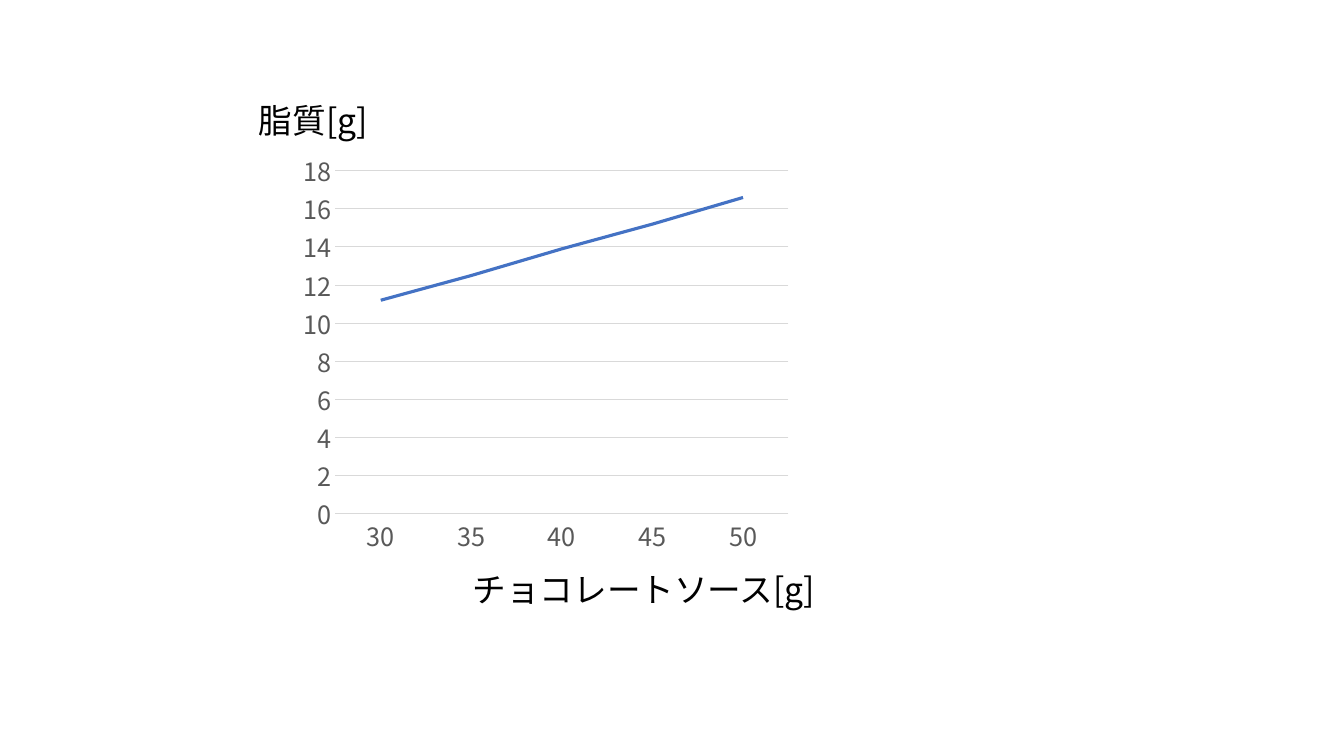
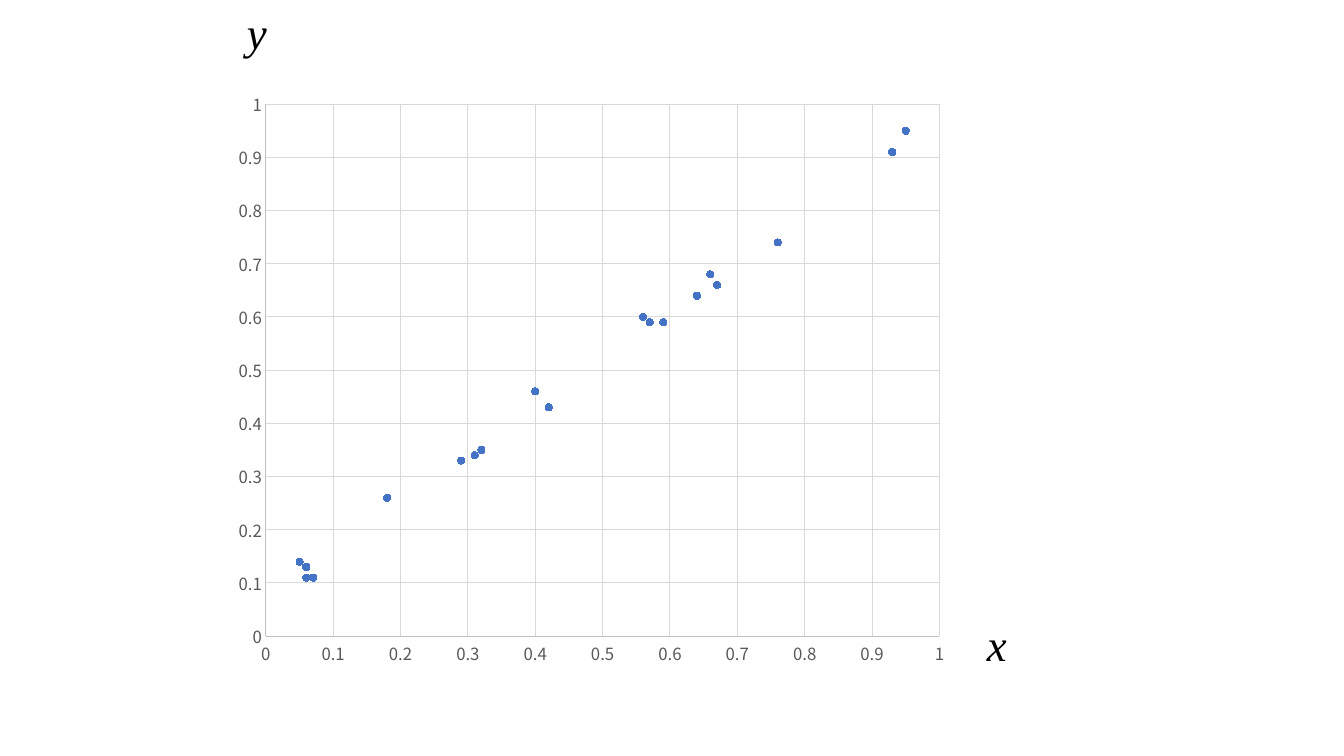
"""Build two chart slides: a line chart of fat content and a scatter plot."""
from lxml import etree
from pptx import Presentation
from pptx.chart.data import CategoryChartData, XyChartData
from pptx.dml.color import RGBColor
from pptx.enum.chart import XL_CHART_TYPE, XL_MARKER_STYLE, XL_TICK_MARK
from pptx.enum.text import MSO_AUTO_SIZE
from pptx.oxml.ns import qn
from pptx.util import Inches, Pt

LINE_CHART = XL_CHART_TYPE.LINE
SCATTER_CHART = XL_CHART_TYPE.XY_SCATTER
CIRCLE = XL_MARKER_STYLE.CIRCLE
NO_TICK = XL_TICK_MARK.NONE
GROW = MSO_AUTO_SIZE.SHAPE_TO_FIT_TEXT

BLACK = RGBColor(0x00, 0x00, 0x00)
GRAY = RGBColor(0x59, 0x59, 0x59)
AXIS_GRAY = RGBColor(0xBF, 0xBF, 0xBF)
GRID_GRAY = RGBColor(0xD9, 0xD9, 0xD9)
BLUE = RGBColor(0x44, 0x72, 0xC4)
SANS = "Noto Sans CJK JP"
SERIF = "Times New Roman"


def add_label(page, text, place, font_name, size, italic=False, wrap=True):
    box = page.shapes.add_textbox(*[Inches(length) for length in place])
    box.text_frame.word_wrap = wrap
    box.text_frame.auto_size = GROW
    para = box.text_frame.paragraphs[0]
    para.text = text
    para.font.name = font_name
    para.font.size = Pt(size)
    para.font.italic = italic
    para.font.color.rgb = BLACK
    properties = para._p.pPr.find(qn("a:defRPr"))
    east_asian = etree.Element(qn("a:ea"), typeface=font_name)
    properties.find(qn("a:latin")).addnext(east_asian)


def add_plain_chart(page, kind, place, data, label_size, axis_color):
    lengths = [Inches(length) for length in place]
    chart = page.shapes.add_chart(kind, *lengths, data).chart
    chart.has_legend = False
    chart.has_title = False
    chart.font.name = SANS
    chart.font.size = Pt(label_size)
    chart.font.color.rgb = GRAY
    for axis in (chart.category_axis, chart.value_axis):
        axis.major_tick_mark = NO_TICK
        axis.minor_tick_mark = NO_TICK
        axis.format.line.color.rgb = axis_color
        axis.format.line.width = Pt(0.75)
        axis.has_major_gridlines = True
        axis.major_gridlines.format.line.color.rgb = GRID_GRAY
        axis.major_gridlines.format.line.width = Pt(0.75)
    return chart


deck = Presentation()
deck.slide_width = Inches(13.33)
deck.slide_height = Inches(7.5)
blank_layout = deck.slide_layouts[6]

page = deck.slides.add_slide(blank_layout)
fat_data = CategoryChartData()
fat_data.categories = ["30", "35", "40", "45", "50"]
fat_data.add_series("Series 1", [11.2, 12.5, 13.9, 15.2, 16.6])
chart = add_plain_chart(page, LINE_CHART, (2.91, 1.43, 5.01, 4.15), fat_data, 18, GRID_GRAY)
chart.category_axis.has_major_gridlines = False
chart.value_axis.format.line.fill.background()
chart.value_axis.minimum_scale = 0
chart.value_axis.maximum_scale = 18
chart.value_axis.major_unit = 2
fat_series = chart.plots[0].series[0]
fat_series.smooth = False
fat_series.marker.style = XL_MARKER_STYLE.NONE
fat_series.format.line.color.rgb = BLUE
fat_series.format.line.width = Pt(2.25)
add_label(page, "脂質[g]", (2.47, 0.94, 1.32, 0.5), SANS, 24, wrap=False)
add_label(page, "チョコレートソース[g]", (4.59, 5.59, 3.67, 0.5), SANS, 24, wrap=False)

page = deck.slides.add_slide(blank_layout)
points = [
    (0.66, 0.68), (0.31, 0.34), (0.59, 0.59), (0.64, 0.64), (0.18, 0.26),
    (0.56, 0.6), (0.05, 0.14), (0.76, 0.74), (0.42, 0.43), (0.06, 0.11),
    (0.29, 0.33), (0.32, 0.35), (0.95, 0.95), (0.4, 0.46), (0.07, 0.11),
    (0.67, 0.66), (0.67, 0.66), (0.57, 0.59), (0.93, 0.91), (0.06, 0.13),
]
point_data = XyChartData()
point_series = point_data.add_series("Series 1")
for x, y in points:
    point_series.add_data_point(x, y)
chart = add_plain_chart(page, SCATTER_CHART, (2.22, 0.79, 7.29, 5.93), point_data, 12, AXIS_GRAY)
for axis in (chart.category_axis, chart.value_axis):
    axis.minimum_scale = 0
    axis.maximum_scale = 1
    axis.major_unit = 0.1
chart.plots[0].vary_by_categories = False
dots = chart.plots[0].series[0]
dots.format.line.fill.background()
dots.marker.style = CIRCLE
dots.marker.size = 5
dots.marker.format.fill.solid()
dots.marker.format.fill.fore_color.rgb = BLUE
dots.marker.format.line.color.rgb = BLUE
add_label(page, "y", (2.35, 0, 1.57, 0.64), SERIF, 32, italic=True)
add_label(page, "x", (9.69, 6.07, 1.57, 0.64), SERIF, 32, italic=True)

deck.save("out.pptx")
